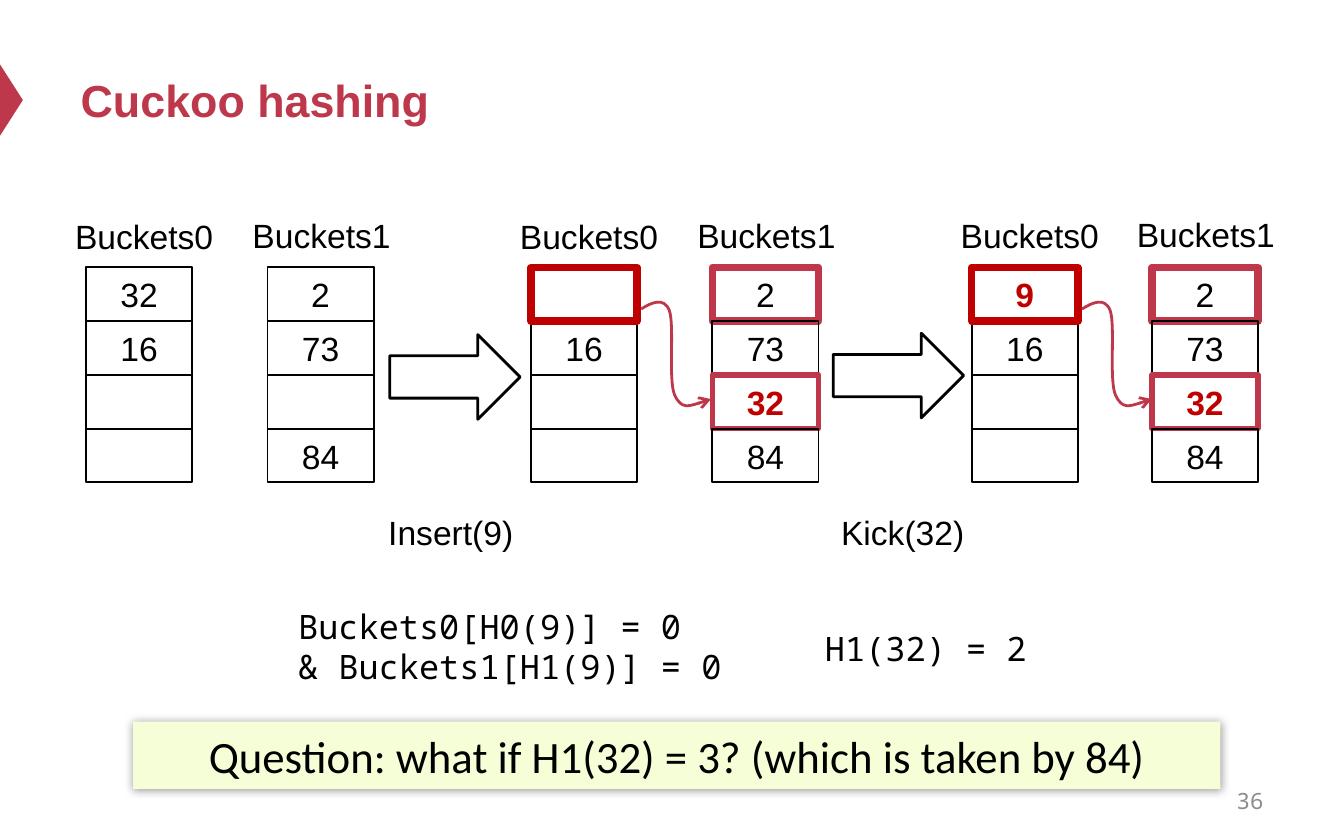
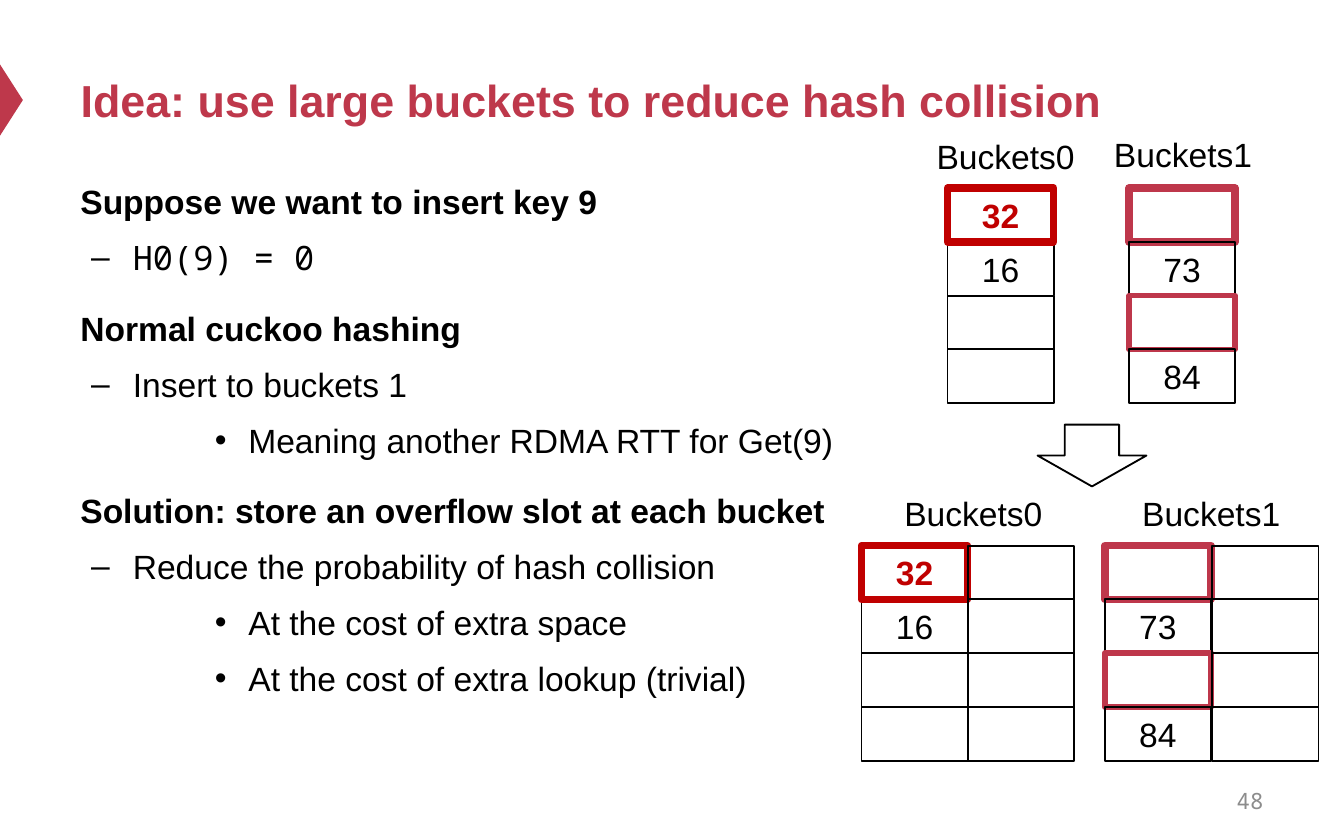
import pptx
import pptx.util
import pptx.dml.color
import pptx.enum.shapes
import pptx.enum.text
import pptx.oxml
import pptx.oxml.ns
import lxml.etree

Inches, Pt = pptx.util.Inches, pptx.util.Pt
RGBColor = pptx.dml.color.RGBColor
SHAPE = pptx.enum.shapes.MSO_SHAPE
ALIGN = pptx.enum.text.PP_ALIGN
ANCHOR = pptx.enum.text.MSO_ANCHOR
qn = pptx.oxml.ns.qn

# Shared look
ACCENT = RGBColor(0xBE, 0x38, 0x4B)
FRAME = RGBColor(0xBE, 0x37, 0x4B)
RED = RGBColor(0xC0, 0x00, 0x00)
BLACK = RGBColor(0x00, 0x00, 0x00)
GRAY = RGBColor(0x8C, 0x8C, 0x8C)
LIME = RGBColor(0xF5, 0xFE, 0xD6)
SANS, MONO, ROUND = "Arial", "Noto Sans Mono", "Calibri"
CELL_W, CELL_H = 0.79, 0.4
LABEL_W, LABEL_H = 1.31, 0.4

# Cell styles: line colour, line width, emphasised text
PLAIN = (BLACK, 1, False)
CHOSEN = (RED, 4, True)
CANDIDATE = (FRAME, 4, False)
MOVED = (FRAME, 3, True)

# Bucket contents: (key, style) from the first slot to the last
EMPTY = ("", PLAIN)
OVERFLOW = [EMPTY] * 4


def buckets0(key, style):
    return [(key, style), ("16", PLAIN), EMPTY, EMPTY]


def buckets1(first, first_style, third, third_style):
    return [(first, first_style), ("73", PLAIN), (third, third_style), ("84", PLAIN)]


BEFORE = buckets1("2", PLAIN, "", PLAIN)
KICKED = buckets1("2", CANDIDATE, "32", MOVED)
FREED = buckets1("", CANDIDATE, "", MOVED)

# Columns: left, top, slots
CUCKOO_COLUMNS = [
    (0.64, 1.99, buckets0("32", PLAIN)), (1.99, 1.99, BEFORE),
    (3.95, 1.99, buckets0("", CHOSEN)), (5.3, 1.99, KICKED),
    (7.23, 1.99, buckets0("9", CHOSEN)), (8.57, 1.99, KICKED),
]
LARGE_COLUMNS = [
    (7.05, 1.4, buckets0("32", CHOSEN)), (8.4, 1.4, FREED),
    (6.41, 4.06, buckets0("32", CHOSEN)), (8.22, 4.06, FREED),
    (7.2, 4.06, OVERFLOW), (9.02, 4.06, OVERFLOW),
]
# Column names: left, top (Buckets0 and Buckets1 in turn)
CUCKOO_NAMES = [(0.46, 1.56), (1.78, 1.55), (3.77, 1.56),
                (5.09, 1.55), (7.05, 1.55), (8.36, 1.54)]
LARGE_NAMES = [(6.87, 0.96), (8.19, 0.95), (6.63, 3.62), (8.4, 3.62)]

# Steps: arrow left, arrow top, caption, caption left
STEPS = [(2.9, 2.49, "Insert(9)", 2.79), (6.2, 2.48, "Kick(32)", 6.16)]
KICK_LEFTS = [4.77, 8.05]
# Kick curve relative to its start: three cubic segments
KICK_CURVE = [(0.08, -0.05), (0.17, -0.09), (0.21, 0.01),
              (0.25, 0.12), (0.2, 0.53), (0.25, 0.64),
              (0.3, 0.75), (0.41, 0.71), (0.52, 0.67)]
QUESTION = "Question: what if H1(32) = 3? (which is taken by 84)"

# Outline: level, text, font
OUTLINE = [
    (0, "Suppose we want to insert key 9", SANS),
    (1, "H0(9) = 0", MONO),
    (0, "Normal cuckoo hashing", SANS),
    (1, "Insert to buckets 1", SANS),
    (2, "Meaning another RDMA RTT for Get(9)", SANS),
    (0, "Solution: store an overflow slot at each bucket", SANS),
    (1, "Reduce the probability of hash collision", SANS),
    (2, "At the cost of extra space", SANS),
    (2, "At the cost of extra lookup (trivial)", SANS),
]
# Per level: bullet, left margin, first-line indent, space before
LEVELS = [(None, 0, 0, 12), ("–", 0.39, -0.31, 4), ("•", 1.25, -0.25, 4)]


def add_run(paragraph, text, size=18, font=SANS, color=BLACK, bold=False):
    run = paragraph.add_run()
    run.text = text
    run.font.size = Pt(size)
    run.font.name = font
    run.font.color.rgb = color
    run.font.bold = bold


def indent(paragraph, left, first=0):
    props = paragraph._p.get_or_add_pPr()
    props.set("marL", str(Inches(left)))
    props.set("indent", str(Inches(first)))
    return props


def add_text(slide, left, top, width, height, lines, align=ALIGN.LEFT,
             margin=0, anchor=ANCHOR.TOP, **style):
    box = slide.shapes.add_textbox(Inches(left), Inches(top), Inches(width), Inches(height))
    frame = box.text_frame
    frame.word_wrap = True
    frame.vertical_anchor = anchor
    for i, line in enumerate(lines):
        paragraph = frame.add_paragraph() if i else frame.paragraphs[0]
        paragraph.alignment = align
        if margin:
            indent(paragraph, margin)
        add_run(paragraph, line, **style)


def add_outlined(slide, kind, left, top, width, height, color=BLACK, weight=1):
    shape = slide.shapes.add_shape(kind, Inches(left), Inches(top), Inches(width), Inches(height))
    shape.shadow.inherit = False
    shape.fill.background()
    shape.line.color.rgb = color
    shape.line.width = Pt(weight)
    return shape


def add_filled(slide, kind, left, top, width, height, color):
    shape = add_outlined(slide, kind, left, top, width, height)
    shape.fill.solid()
    shape.fill.fore_color.rgb = color
    shape.line.fill.background()
    return shape


def add_column(slide, left, top, slots):
    # A chosen first slot goes on last, so its frame lies over its neighbour
    order = sorted(range(len(slots)), key=lambda row: slots[row][1] is CHOSEN)
    for row in order:
        key, (color, weight, strong) = slots[row]
        cell = add_outlined(slide, SHAPE.RECTANGLE, left, top + row * CELL_H,
                            CELL_W, CELL_H, color, weight)
        if key:
            frame = cell.text_frame
            frame.margin_top = frame.margin_bottom = 0
            frame.vertical_anchor = ANCHOR.MIDDLE
            frame.paragraphs[0].alignment = ALIGN.CENTER
            add_run(frame.paragraphs[0], key, color=RED if strong else BLACK, bold=strong)


def add_buckets(slide, columns, names):
    for column in columns:
        add_column(slide, *column)
    for i, (left, top) in enumerate(names):
        add_text(slide, left, top, LABEL_W, LABEL_H, [f"Buckets{i % 2}"])


def add_kick(slide, left, top):
    builder = slide.shapes.build_freeform(Inches(left), Inches(top))
    builder.add_line_segments([(Inches(left + dx), Inches(top + dy)) for dx, dy in KICK_CURVE],
                              close=False)
    kick = builder.convert_to_shape()
    kick.shadow.inherit = False
    kick.fill.background()
    kick.line.color.rgb = FRAME
    kick.line.width = Pt(1.5)
    # Turn each three points into one cubic segment
    segments = list(kick.element.iter(qn("a:lnTo")))
    outline = segments[0].getparent()
    for i in range(0, len(segments), 3):
        cubic = lxml.etree.SubElement(outline, qn("a:cubicBezTo"))
        for segment in segments[i:i + 3]:
            cubic.append(segment[0])
            outline.remove(segment)
    line = kick.element.spPr.find(qn("a:ln"))
    lxml.etree.SubElement(line, qn("a:tailEnd"), type="arrow")


def add_question(slide):
    banner = add_filled(slide, SHAPE.RECTANGLE, 0.99, 5.37, 8.09, 0.5, LIME)
    effects = banner.element.spPr.find(qn("a:effectLst"))
    glow = lxml.etree.SubElement(effects, qn("a:outerShdw"), blurRad=str(Pt(5)),
                                 dist="0", dir="0", algn="ctr", rotWithShape="0")
    tint = lxml.etree.SubElement(glow, qn("a:srgbClr"), val=str(BLACK))
    lxml.etree.SubElement(tint, qn("a:alpha"), val="40000")
    paragraph = banner.text_frame.paragraphs[0]
    paragraph.alignment = ALIGN.CENTER
    add_run(paragraph, QUESTION, size=24, font=ROUND)


def add_outline(slide):
    box = slide.shapes.add_textbox(Inches(0.5), Inches(1.24), Inches(6.67), Inches(5))
    frame = box.text_frame
    frame.word_wrap = True
    for i, (level, text, font) in enumerate(OUTLINE):
        bullet, left, first, before = LEVELS[level]
        paragraph = frame.add_paragraph() if i else frame.paragraphs[0]
        paragraph.level = level
        props = indent(paragraph, left, first)
        if bullet:
            lxml.etree.SubElement(props, qn("a:buFont"), typeface=SANS)
            lxml.etree.SubElement(props, qn("a:buChar"), char=bullet)
        paragraph.line_spacing = 1.2
        paragraph.space_before = Pt(before if i else 0)
        add_run(paragraph, text, font=font, bold=level == 0)


def new_slide(deck, heading, number):
    slide = deck.slides.add_slide(deck.slide_layouts[5])
    # Edge marker
    marker = add_filled(slide, SHAPE.ISOSCELES_TRIANGLE, -0.18, 0.66, 0.53, 0.17, ACCENT)
    marker.rotation = 90
    # Title
    title = slide.shapes.title
    title.left, title.top = Inches(0.5), Inches(0.25)
    title.width, title.height = Inches(9), Inches(0.98)
    title.text_frame.vertical_anchor = ANCHOR.MIDDLE
    paragraph = title.text_frame.paragraphs[0]
    paragraph.alignment = ALIGN.LEFT
    add_run(paragraph, heading, size=24, color=ACCENT, bold=True)
    # Page number
    add_text(slide, 7.17, 5.79, 2.33, 0.33, [number], ALIGN.RIGHT,
             anchor=ANCHOR.MIDDLE, size=12, font=MONO, color=GRAY)
    return slide


def main():
    deck = pptx.Presentation()
    deck.slide_width, deck.slide_height = Inches(10), Inches(6.25)

    # Cuckoo hashing
    cuckoo = new_slide(deck, "Cuckoo hashing", "36")
    add_buckets(cuckoo, CUCKOO_COLUMNS, CUCKOO_NAMES)
    for left in KICK_LEFTS:
        add_kick(cuckoo, left, 2.3)
    for left, top, caption, caption_left in STEPS:
        add_outlined(cuckoo, SHAPE.RIGHT_ARROW, left, top, 0.97, 0.63, weight=1.5)
        add_text(cuckoo, caption_left, 3.76, LABEL_W, LABEL_H, [caption])
    add_text(cuckoo, 1.62, 4.46, 3.93, 0.71,
             ["Buckets0[H0(9)] = 0", "& Buckets1[H1(9)] = 0"], margin=0.5, font=MONO)
    add_text(cuckoo, 6.04, 4.62, 1.8, 0.4, ["H1(32) = 2"], font=MONO)
    add_question(cuckoo)

    # Large buckets
    large = new_slide(deck, "Idea: use large buckets to reduce hash collision", "48")
    add_outline(large)
    add_buckets(large, LARGE_COLUMNS, LARGE_NAMES)
    add_outlined(large, SHAPE.DOWN_ARROW, 7.72, 3.16, 0.81, 0.46)

    deck.save("out.pptx")


if __name__ == "__main__":
    main()
